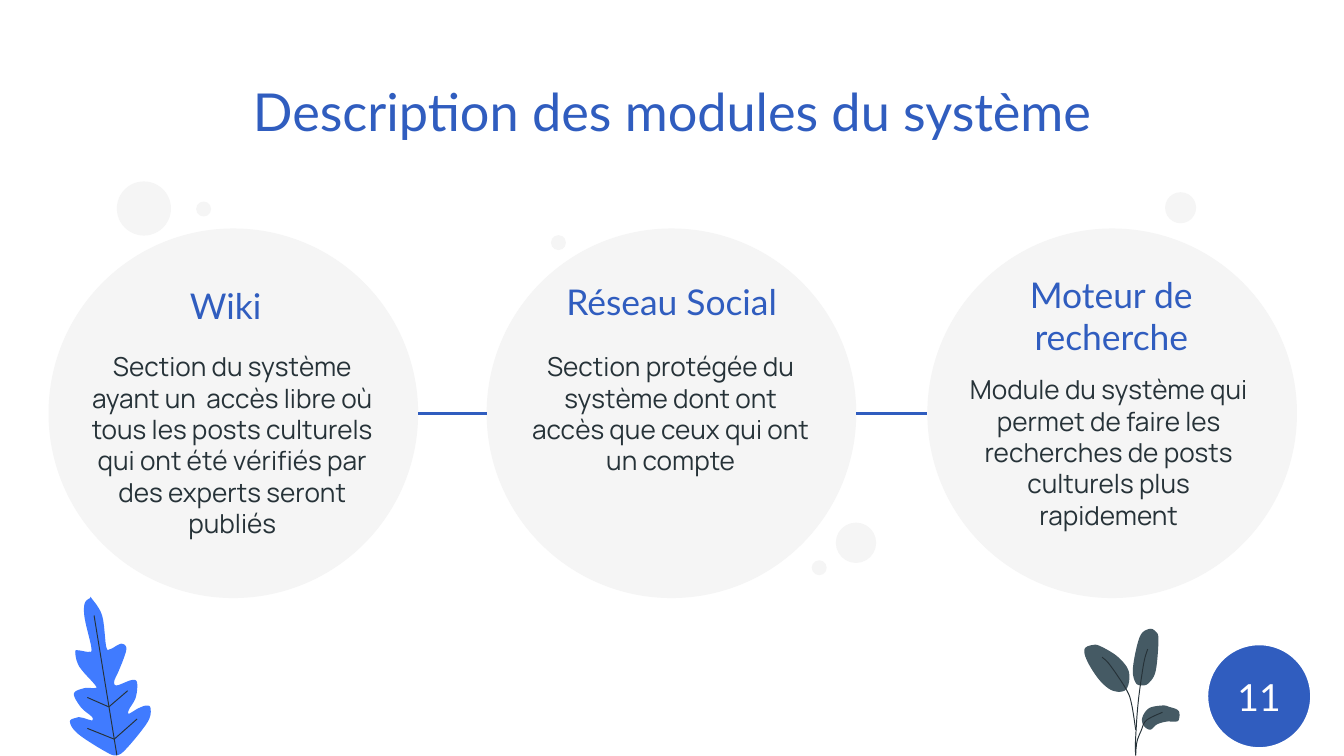
"""Build the slide that describes the three modules of the system."""

from lxml import etree
from pptx import Presentation
from pptx.dml.color import RGBColor
from pptx.enum.shapes import MSO_CONNECTOR, MSO_SHAPE
from pptx.enum.text import MSO_ANCHOR, MSO_AUTO_SIZE, PP_ALIGN
from pptx.oxml.ns import qn
from pptx.util import Pt

OVAL = MSO_SHAPE.OVAL
STRAIGHT = MSO_CONNECTOR.STRAIGHT
CENTER = PP_ALIGN.CENTER
TOP, MIDDLE = MSO_ANCHOR.TOP, MSO_ANCHOR.MIDDLE
NO_AUTOFIT = MSO_AUTO_SIZE.NONE

COLORS = {
    "accent": "305DBF",
    "circle": "F5F5F5",
    "text": "263238",
    "blue leaf": "407BFF",
    "grey leaf": "455A64",
    "white": "FFFFFF",
}
HEADING_FONT, BODY_FONT = "Lato", "Manrope"
TITLE_ONLY = 5
INSET = 7.2
GRID = 0.72
CURVE_STEPS = 6

CIRCLE_TOP, CIRCLE_SIZE = 122.4, 198
MODULES = [
    {
        "left": 26,
        "heading": ("Wiki", 50.4, 144.7),
        "body": ("Section du système ayant un  accès libre où tous les posts culturels "
                 "qui ont été vérifiés par des experts seront publiés", 41, 180.7),
    },
    {
        "left": 260.7,
        "heading": ("Réseau Social", 289.4, 142.6),
        "body": ("Section protégée du système dont ont accès que ceux qui ont un compte",
                 275.8, 180.7),
    },
    {
        "left": 496.8,
        "heading": ("Moteur de recherche", 524.9, 139),
        "body": ("Module du système qui permet de faire les recherches de posts "
                 "culturels plus rapidement", 510.5, 193),
    },
]
BUBBLES = [
    (62.6, 97.2, 29), (624.2, 103, 16.6), (434.9, 300.2, 8),
    (447.8, 280, 21.6), (105.1, 108, 8), (295.2, 126, 8),
]

BLUE_LEAF = [
    (68, 445), (76, 458), (79, 481), (82, 483), (90, 479), (94, 482), (92, 490),
    (88, 500), (85, 507), (87, 510), (98, 506), (102, 508), (101, 519), (96, 528),
    (96, 531), (103, 527), (109, 525), (112, 527), (110, 537), (95, 556), (87, 562),
    (78, 559), (58, 546), (52, 537), (57, 534), (61, 534), (68, 536), (69, 535),
    (68, 533), (60, 526), (55, 516), (63, 512), (70, 512), (71, 510), (59, 496),
    (56, 485), (59, 484), (66, 485), (68, 482), (63, 460), (63, 449), (67, 445),
]
BLUE_LEAF_VEINS = [
    ((70, 458), (87, 562)), ((95, 514), (81, 526)), ((65, 519), (81, 526)),
    ((65, 542), (85, 550)), ((102, 535), (85, 550)),
]
GREY_LEAVES = [
    [(865, 525), (855, 527), (850, 534), (851, 540), (856, 543), (861, 539),
     (868, 537), (873, 537), (877, 536), (877, 529), (870, 526)],
    [(855, 468), (848, 474), (843, 497), (845, 508), (850, 510), (855, 508),
     (860, 499), (862, 476), (860, 470)],
    [(813, 480), (807, 483), (809, 492), (818, 506), (828, 514), (838, 513),
     (840, 500), (832, 489), (819, 481)],
]
STEMS = [
    [(865, 530), (853, 536), (849, 544), (846, 552), (845, 562)],
    [(854, 483), (851, 494), (847, 522), (845, 550), (845, 562)],
    [(820, 489), (826, 495), (838, 513), (842, 524), (845, 543)],
]


def color(name):
    """Return the named colour."""
    return RGBColor.from_string(COLORS[name])


def write_text(shape, text, *, size, font=HEADING_FONT, ink="accent", anchor=TOP):
    """Write one centred paragraph into a shape."""
    frame = shape.text_frame
    frame.word_wrap = True
    frame.auto_size = NO_AUTOFIT
    frame.vertical_anchor = anchor
    frame.margin_left = frame.margin_right = Pt(INSET)
    frame.margin_top = frame.margin_bottom = Pt(INSET)
    paragraph = frame.paragraphs[0]
    paragraph.alignment = CENTER
    run = paragraph.add_run()
    run.text = text
    run.font.name = font
    run.font.size = Pt(size)
    run.font.color.rgb = color(ink)


def smooth_curve(knots, closed):
    """Return points on a Catmull-Rom curve through the knots."""
    if closed:
        padded = [knots[-1], *knots, *knots[:2]]
    else:
        padded = [knots[0], *knots, knots[-1]]
    points = [knots[0]]
    for before, start, end, after in zip(padded, padded[1:], padded[2:], padded[3:]):
        for step in range(1, CURVE_STEPS + 1):
            t = step / CURVE_STEPS
            points.append(tuple(
                b + ((c - a) * t + (2 * a - 5 * b + 4 * c - d) * t ** 2
                     + (3 * b - a - 3 * c + d) * t ** 3) / 2
                for a, b, c, d in zip(before, start, end, after)
            ))
    return points


class SlideBuilder:
    """Hold the style and the current slide."""

    def __init__(self, presentation):
        """Add a slide that has only a title."""
        self.slide = presentation.slides.add_slide(presentation.slide_layouts[TITLE_ONLY])
        self.shapes = self.slide.shapes

    def title(self, text, left, top, width, height):
        """Place and fill the title."""
        title = self.shapes.title
        title.left, title.top = Pt(left), Pt(top)
        title.width, title.height = Pt(width), Pt(height)
        write_text(title, text, size=28)

    def circle(self, left, top, size, fill="circle"):
        """Draw a plain circle."""
        shape = self.shapes.add_shape(OVAL, Pt(left), Pt(top), Pt(size), Pt(size))
        shape.shadow.inherit = False
        shape.fill.solid()
        shape.fill.fore_color.rgb = color(fill)
        shape.line.fill.background()
        return shape

    def text(self, text, left, top, width, height, **style):
        """Add a text box."""
        box = self.shapes.add_textbox(Pt(left), Pt(top), Pt(width), Pt(height))
        write_text(box, text, **style)

    def line(self, start, end, ink="accent", weight=1.5):
        """Draw a straight line."""
        connector = self.shapes.add_connector(STRAIGHT, *map(Pt, (*start, *end)))
        connector.line.color.rgb = color(ink)
        connector.line.width = Pt(weight)
        etree.SubElement(connector._element.spPr, qn("a:effectLst"))

    def curve(self, knots, ink, closed):
        """Draw a filled leaf or an open stem from grid knots."""
        points = [(Pt(x * GRID), Pt(y * GRID)) for x, y in smooth_curve(knots, closed)]
        builder = self.shapes.build_freeform(*points[0])
        builder.add_line_segments(points[1:], close=closed)
        shape = builder.convert_to_shape()
        shape.shadow.inherit = False
        if closed:
            shape.fill.solid()
            shape.fill.fore_color.rgb = color(ink)
            shape.line.fill.background()
        else:
            shape.fill.background()
            shape.line.color.rgb = color(ink)
            shape.line.width = Pt(0.5)

    def badge(self, text, left, top, size):
        """Draw the page number in a ringed circle."""
        shape = self.circle(left, top, size, fill="accent")
        shape.line.color.rgb = color("white")
        shape.line.width = Pt(3)
        write_text(shape, text, size=20, ink="white", anchor=MIDDLE)


def main():
    """Build and save the presentation."""
    presentation = Presentation()
    presentation.slide_width, presentation.slide_height = Pt(720), Pt(405)
    builder = SlideBuilder(presentation)
    builder.title("Description des modules du système", 24.5, 35.3, 671, 45.4)

    for module in MODULES:
        builder.circle(module["left"], CIRCLE_TOP, CIRCLE_SIZE)
        builder.text(*module["heading"], 141, 37.4, size=19)
        builder.text(*module["body"], 167, 96.5, size=14, font=BODY_FONT, ink="text")
    middle = CIRCLE_TOP + CIRCLE_SIZE / 2
    for module, following in zip(MODULES, MODULES[1:]):
        builder.line((module["left"] + CIRCLE_SIZE, middle), (following["left"], middle))
    for bubble in BUBBLES:
        builder.circle(*bubble)

    builder.curve(BLUE_LEAF, "blue leaf", closed=True)
    for vein in BLUE_LEAF_VEINS:
        start, end = [(x * GRID, y * GRID) for x, y in vein]
        builder.line(start, end, ink="text", weight=0.5)
    for leaf in GREY_LEAVES:
        builder.curve(leaf, "grey leaf", closed=True)
    for stem in STEMS:
        builder.curve(stem, "text", closed=False)
    builder.badge("11", 645.8, 344.2, 57.6)
    presentation.save("out.pptx")


if __name__ == "__main__":
    main()
